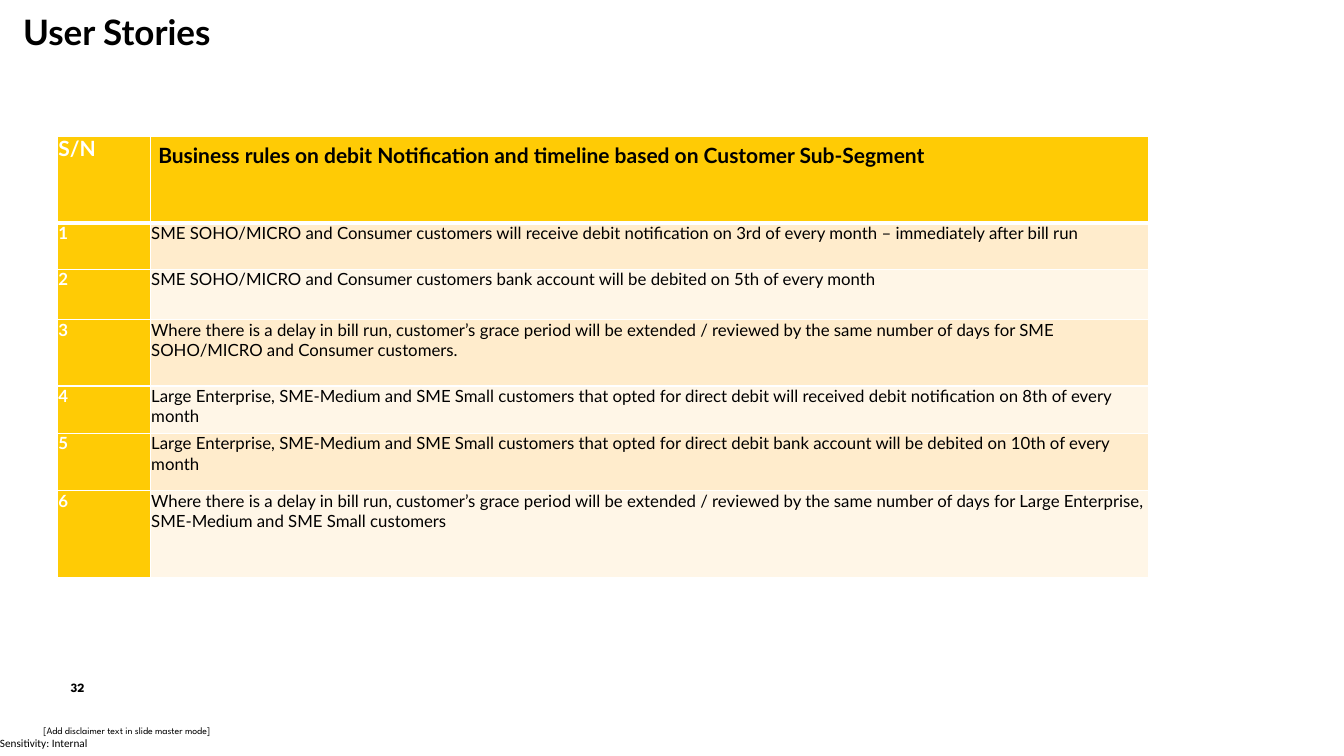
from dataclasses import dataclass

from lxml import etree
from pptx import Presentation
from pptx.dml.color import RGBColor
from pptx.enum.shapes import MSO_SHAPE
from pptx.enum.text import MSO_ANCHOR, MSO_AUTO_SIZE, PP_ALIGN
from pptx.oxml.ns import qn
from pptx.util import Inches, Pt

ELLIPSE = MSO_SHAPE.OVAL
TOP, MIDDLE = MSO_ANCHOR.TOP, MSO_ANCHOR.MIDDLE
LEFT, CENTER = PP_ALIGN.LEFT, PP_ALIGN.CENTER
FIT_SHAPE = MSO_AUTO_SIZE.SHAPE_TO_FIT_TEXT

BLACK, WHITE, YELLOW = "000000", "FFFFFF", "FFCB05"
BANDS = ("FFECCC", "FFF6E7")
COLUMN_WIDTHS = (0.92, 9.9)
HEADER_HEIGHT = 0.86
NARROW_INSETS = (0.01, 0)
HEADING_INSETS = (0.08, 0.05)


@dataclass
class TextStyle:
    size: float
    font: str = "Lato"
    color: str = BLACK
    bold: bool = False
    align: PP_ALIGN = LEFT
    line_spacing: float = 1.0


@dataclass
class Label:
    text: str
    left: float
    top: float
    width: float
    height: float
    style: TextStyle
    anchor: MSO_ANCHOR = MIDDLE
    wrap: bool = True


@dataclass
class Rule:
    text: str
    height: float


LABELS = [
    Label("[Add disclaimer text in slide master mode]", 0.43, 7.08, 7.42, 0.34,
          TextStyle(7, "League Spartan")),
    Label("Sensitivity: Internal", 0, 7.25, 1.14, 0.25,
          TextStyle(8, "Calibri"), wrap=False),
    Label("User Stories", 0.23, 0.15, 12.47, 0.54,
          TextStyle(25, bold=True, line_spacing=0.9), anchor=TOP),
]
PAGE_NUMBER = Label("32", 0.43, 6.69, 0.68, 0.27,
                    TextStyle(9, "League Spartan", bold=True, align=CENTER))

RULES = [
    Rule("SME SOHO/MICRO and Consumer customers will receive debit notification "
         "on 3rd of every month – immediately after bill run", 0.46),
    Rule("SME SOHO/MICRO and Consumer customers bank account will be debited "
         "on 5th of every month", 0.5),
    Rule("Where there is a delay in bill run, customer’s grace period will be "
         "extended / reviewed by the same number of days for SME SOHO/MICRO "
         "and Consumer customers.", 0.66),
    Rule("Large Enterprise, SME-Medium and SME Small customers that opted for "
         "direct debit will received debit notification on 8th of every month", 0.47),
    Rule("Large Enterprise, SME-Medium and SME Small customers that opted for "
         "direct debit bank account will be debited on 10th of every month", 0.57),
    Rule("Where there is a delay in bill run, customer’s grace period will be "
         "extended / reviewed by the same number of days for Large Enterprise, "
         "SME-Medium and SME Small customers", 0.86),
]


def rgb(color: str) -> RGBColor:
    return RGBColor.from_string(color)


def write_text(text_frame, text: str, style: TextStyle) -> None:
    paragraph = text_frame.paragraphs[0]
    paragraph.text = text
    paragraph.alignment = style.align
    paragraph.line_spacing = style.line_spacing
    paragraph.font.name = style.font
    paragraph.font.size = Pt(style.size)
    paragraph.font.bold = style.bold
    paragraph.font.color.rgb = rgb(style.color)


def set_insets(target, horizontal: float, vertical: float) -> None:
    target.margin_left = target.margin_right = Inches(horizontal)
    target.margin_top = target.margin_bottom = Inches(vertical)


def place_text(shape, label: Label) -> None:
    text_frame = shape.text_frame
    set_insets(text_frame, 0, 0)
    text_frame.vertical_anchor = label.anchor
    text_frame.word_wrap = label.wrap
    if not label.wrap:
        text_frame.auto_size = FIT_SHAPE
    write_text(text_frame, label.text, label.style)


def bounds(label: Label) -> list:
    return [Inches(value) for value in (label.left, label.top, label.width, label.height)]


def add_label(slide, label: Label) -> None:
    place_text(slide.shapes.add_textbox(*bounds(label)), label)


def add_page_number(slide, label: Label) -> None:
    shape = slide.shapes.add_shape(ELLIPSE, *bounds(label))
    shape.shadow.inherit = False
    shape.fill.solid()
    shape.fill.fore_color.rgb = rgb(WHITE)
    shape.line.fill.background()
    place_text(shape, label)


def set_borders(cell, top: float, bottom: float) -> None:
    properties = cell._tc.get_or_add_tcPr()
    widths = {"a:lnL": 1, "a:lnR": 1, "a:lnT": top, "a:lnB": bottom}
    for position, (tag, width) in enumerate(widths.items()):
        line = etree.Element(qn(tag), w=str(Pt(width)))
        fill = etree.SubElement(line, qn("a:solidFill"))
        etree.SubElement(fill, qn("a:srgbClr"), val=WHITE)
        properties.insert(position, line)


def fill_cell(cell, text: str, style: TextStyle, fill: str, insets: tuple) -> None:
    cell.fill.solid()
    cell.fill.fore_color.rgb = rgb(fill)
    cell.vertical_anchor = TOP
    set_insets(cell, *insets)
    write_text(cell.text_frame, text, style)


def add_rules_table(slide) -> None:
    heights = [HEADER_HEIGHT] + [rule.height for rule in RULES]
    table = slide.shapes.add_table(
        len(heights), len(COLUMN_WIDTHS), Inches(0.57), Inches(1.35),
        Inches(sum(COLUMN_WIDTHS)), Inches(sum(heights))).table
    table.first_row = table.horz_banding = False
    for column, width in zip(table.columns, COLUMN_WIDTHS):
        column.width = Inches(width)
    for row, height in zip(table.rows, heights):
        row.height = Inches(height)

    fill_cell(table.cell(0, 0), "S/N", TextStyle(15, color=WHITE, bold=True),
              YELLOW, NARROW_INSETS)
    fill_cell(table.cell(0, 1),
              "Business rules on debit Notification and timeline based on Customer Sub-Segment",
              TextStyle(15, bold=True, line_spacing=1.07), YELLOW, HEADING_INSETS)
    for number, rule in enumerate(RULES, start=1):
        fill_cell(table.cell(number, 0), str(number),
                  TextStyle(12, color=WHITE, bold=True), YELLOW, NARROW_INSETS)
        fill_cell(table.cell(number, 1), rule.text, TextStyle(12),
                  BANDS[(number - 1) % len(BANDS)], NARROW_INSETS)
    for index, row in enumerate(table.rows):
        for cell in row.cells:
            set_borders(cell, top=3 if index == 1 else 1, bottom=3 if index == 0 else 1)


def main() -> None:
    presentation = Presentation()
    presentation.slide_width = Inches(13.33)
    presentation.slide_height = Inches(7.5)
    slide = presentation.slides.add_slide(presentation.slide_layouts[6])
    add_page_number(slide, PAGE_NUMBER)
    for label in LABELS:
        add_label(slide, label)
    add_rules_table(slide)
    presentation.save("out.pptx")


if __name__ == "__main__":
    main()
